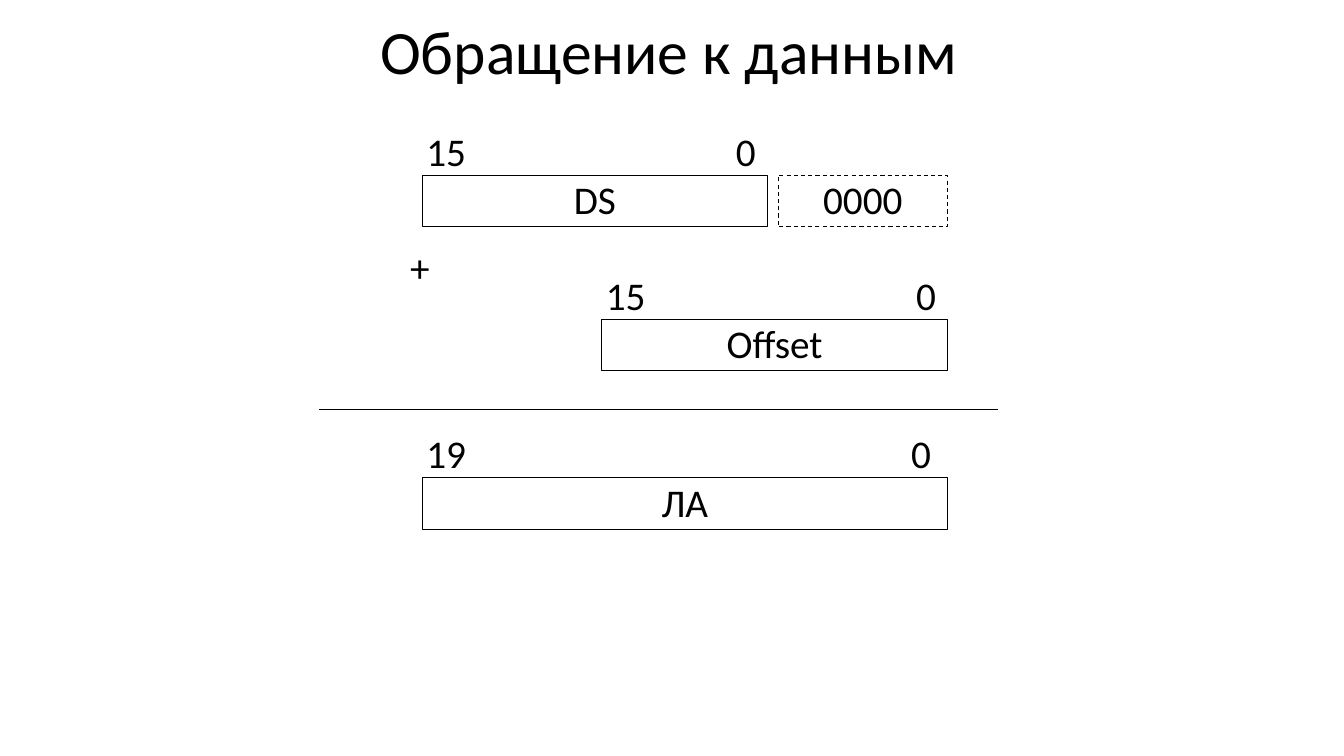
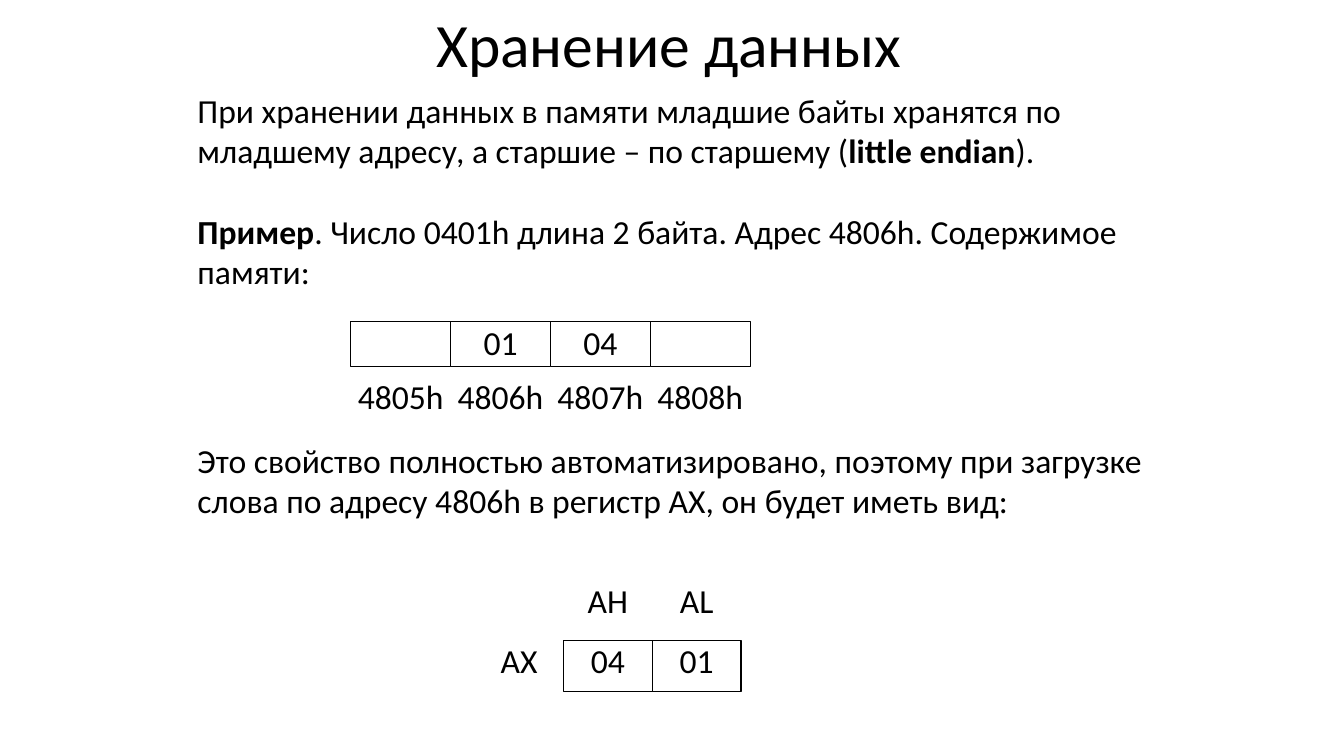
"""Build two slides on addressing and storing data in memory."""
from pptx import Presentation
from pptx.dml.color import RGBColor
from pptx.enum.dml import MSO_LINE
from pptx.enum.shapes import MSO_CONNECTOR, MSO_SHAPE
from pptx.enum.text import MSO_ANCHOR, PP_ALIGN
from pptx.oxml.ns import qn
from pptx.util import Pt
from lxml import etree

FONT = "Calibri"
BLACK = RGBColor.from_string("000000")
WHITE = RGBColor.from_string("FFFFFF")
TITLE_SIZE, REGISTER_SIZE, BODY_SIZE = 44, 28, 24


def add_text(slide, left, top, width, height, paragraphs, size, gap=0):
    """Add a text box whose paragraphs are lists of (text, bold) runs."""
    shape = slide.shapes.add_textbox(Pt(left), Pt(top), Pt(width), Pt(height))
    frame = shape.text_frame
    frame.word_wrap = True
    for index, runs in enumerate(paragraphs):
        paragraph = frame.add_paragraph() if index else frame.paragraphs[0]
        if index:
            paragraph.space_before = Pt(gap)
        for text, bold in runs:
            run = paragraph.add_run()
            run.text = text
            run.font.name = FONT
            run.font.size = Pt(size)
            run.font.bold = bold
            run.font.color.rgb = BLACK
    return shape


def add_box(slide, left, top, width, height, text, size, outlined=True, align=PP_ALIGN.CENTER):
    """Add a white rectangle with text at its top and an optional outline."""
    shape = slide.shapes.add_shape(MSO_SHAPE.RECTANGLE, Pt(left), Pt(top), Pt(width), Pt(height))
    shape.shadow.inherit = False
    shape.fill.solid()
    shape.fill.fore_color.rgb = WHITE
    if outlined:
        shape.line.color.rgb = BLACK
        shape.line.width = Pt(0.75)
    else:
        shape.line.fill.background()
    frame = shape.text_frame
    frame.margin_left = frame.margin_top = frame.margin_right = frame.margin_bottom = 0
    frame.vertical_anchor = MSO_ANCHOR.TOP
    frame.text = text
    paragraph = frame.paragraphs[0]
    paragraph.alignment = align
    for run in paragraph.runs:
        run.font.name = FONT
        run.font.size = Pt(size)
        run.font.color.rgb = BLACK
    return shape


presentation = Presentation()
presentation.slide_width, presentation.slide_height = Pt(960), Pt(540)

slides = []
for title, title_height in (("Обращение к данным", 78.5), ("Хранение данных", 67.5)):
    slide = presentation.slides.add_slide(presentation.slide_layouts[6])
    shape = add_text(slide, 154, 0, 648, title_height, [[(title, False)]], TITLE_SIZE)
    shape.text_frame.vertical_anchor = MSO_ANCHOR.MIDDLE
    shape.text_frame.paragraphs[0].alignment = PP_ALIGN.CENTER
    shape.text_frame.paragraphs[0].line_spacing = 0.9
    slides.append(slide)
address_slide, storage_slide = slides

REGISTER_HEIGHT, BIT_HEIGHT, BIT_RISE = 36.7, 29.5, 34.5
registers = (
    ("DS", "15", 301.5, 125.3, 247, 548),
    ("Offset", "15", 429.8, 228.3, 247, 676.8),
    ("ЛА", "19", 301.5, 341.3, 375.3, 673.2),
)
for name, high_bit, left, top, width, bit_right in registers:
    add_box(address_slide, left, top, width, REGISTER_HEIGHT, name, REGISTER_SIZE)
    add_box(address_slide, left + 3, top - BIT_RISE, 36.7, BIT_HEIGHT, high_bit, REGISTER_SIZE,
            False, PP_ALIGN.LEFT)
    add_box(address_slide, bit_right - 30.5, top - BIT_RISE, 30.5, BIT_HEIGHT, "0",
            REGISTER_SIZE, False)
padding = add_box(address_slide, 555.8, 125.3, 121, REGISTER_HEIGHT, "0000", REGISTER_SIZE)
padding.line.dash_style = MSO_LINE.DASH
add_box(address_slide, 293, 173.5, 18.7, BIT_HEIGHT, "+", REGISTER_SIZE, False, PP_ALIGN.LEFT)
sum_line = address_slide.shapes.add_connector(
    MSO_CONNECTOR.STRAIGHT, Pt(228), Pt(292.3), Pt(712.8), Pt(292.3))
sum_line.line.color.rgb = BLACK
sum_line.line.width = Pt(0.75)
etree.SubElement(sum_line._element.spPr, qn("a:effectLst"))

introduction = [
    [("При хранении данных в памяти младшие байты хранятся по младшему адресу, "
      "а старшие – по старшему (", False), ("little endian", True), (").", False)],
    [("Пример", True),
     (". Число 0401h длина 2 байта. Адрес 4806h. Содержимое памяти:", False)],
]
conclusion = [[("Это свойство полностью автоматизировано, поэтому при загрузке слова "
                "по адресу 4806h в регистр AX, он будет иметь вид:", False)]]
add_text(storage_slide, 134, 60.5, 697.5, 152.6, introduction, BODY_SIZE, gap=29)
add_text(storage_slide, 134, 310.3, 697.5, 65.5, conclusion, BODY_SIZE)

CELL_WIDTH, CELL_HEIGHT = 71.3, 32.4
memory = (("4805h", ""), ("4806h", "01"), ("4807h", "04"), ("4808h", ""))
for index, (address, value) in enumerate(memory):
    left = 250.6 + index * CELL_WIDTH
    add_box(storage_slide, left, 229.7, CELL_WIDTH, CELL_HEIGHT, value, BODY_SIZE)
    add_box(storage_slide, left, 268.6, CELL_WIDTH, CELL_HEIGHT, address, BODY_SIZE, False)

HALF_WIDTH, HALVES_LEFT, HALVES_TOP = 63.4, 402.5, 457.2
add_box(storage_slide, HALVES_LEFT - HALF_WIDTH, HALVES_TOP, HALF_WIDTH, REGISTER_HEIGHT, "AX",
        BODY_SIZE, False)
for index, (name, value) in enumerate((("AH", "04"), ("AL", "01"))):
    left = HALVES_LEFT + index * HALF_WIDTH
    add_box(storage_slide, left, HALVES_TOP, HALF_WIDTH, REGISTER_HEIGHT, value, BODY_SIZE)
    add_box(storage_slide, left, 414, HALF_WIDTH, REGISTER_HEIGHT, name, BODY_SIZE, False)

presentation.save("out.pptx")
